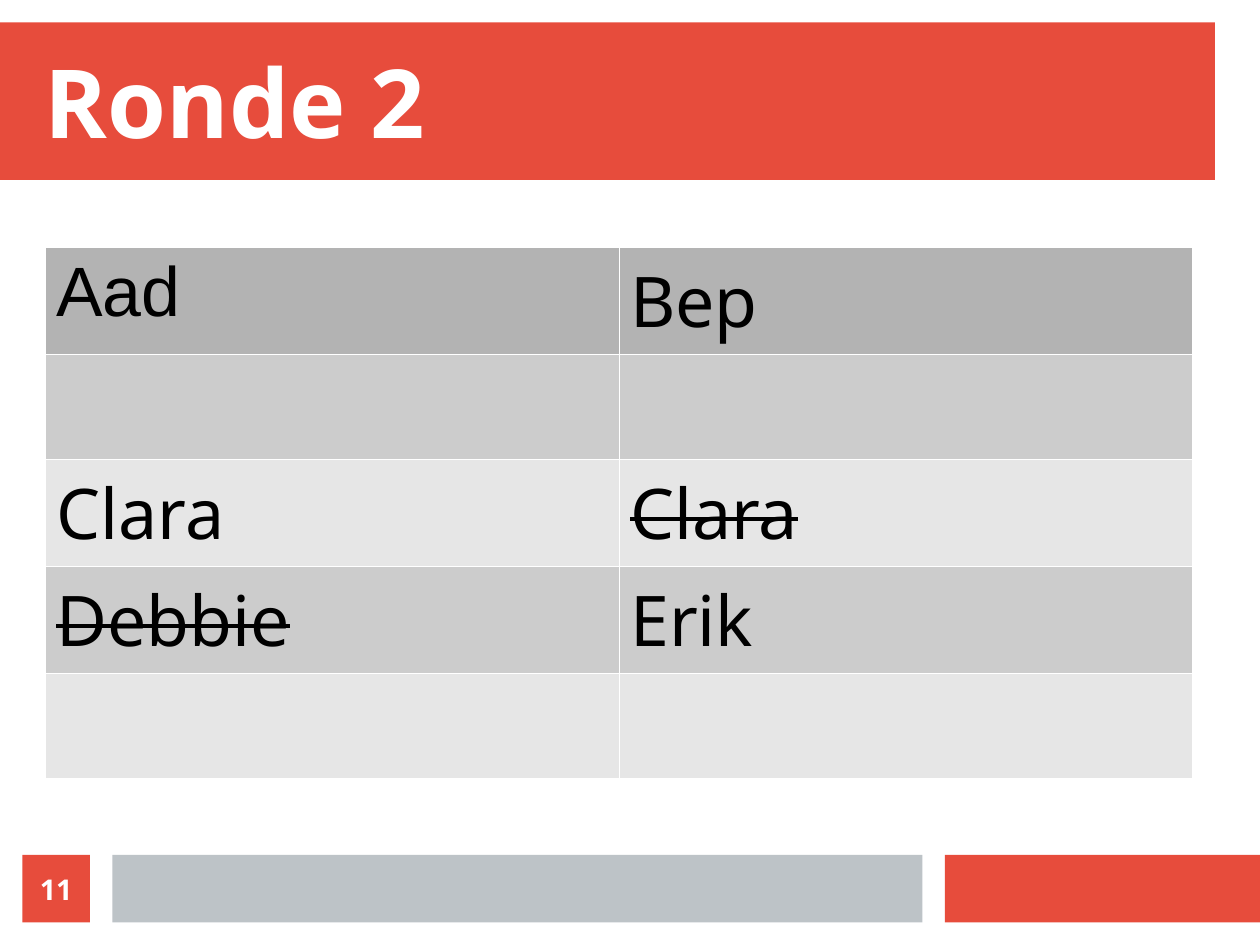
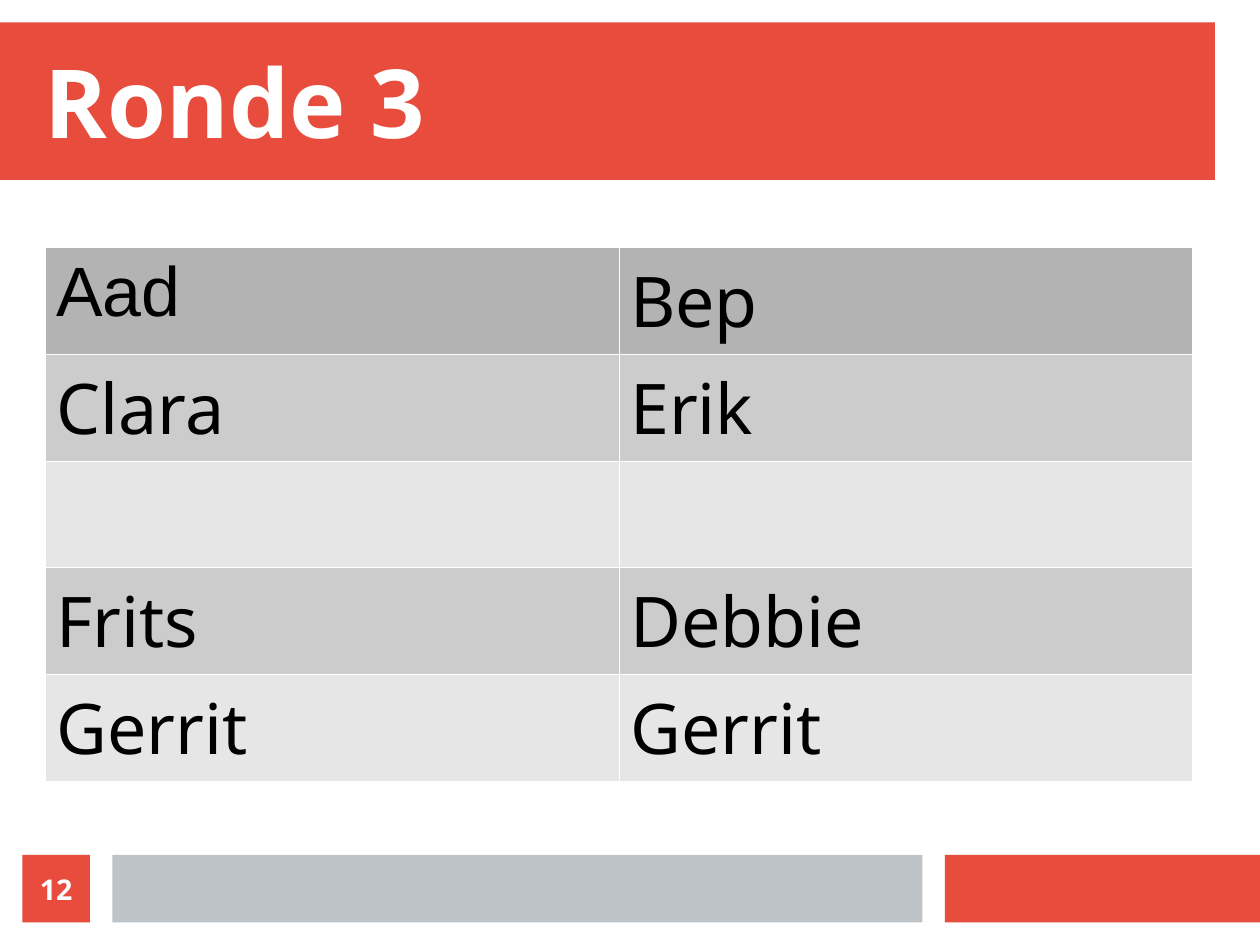
from dataclasses import dataclass

from lxml import etree
from pptx import Presentation
from pptx import util as u
from pptx.dml import color
from pptx.enum import shapes, text
from pptx.oxml import ns

COLORS = {"accent": "E74C3C", "footer": "BDC3C7", "paper": "FFFFFF", "ink": "000000",
          "header": "B3B3B3", "odd": "CCCCCC", "even": "E6E6E6"}
BODY_FONT = "Noto Sans"
UNIT = u.Cm(0.5)
COLUMNS, ROWS = 56, 42
BORDER_WIDTH = u.Pt(0.06)


@dataclass(frozen=True)
class Area:
    col: float
    row: float
    cols: float
    rows: float

    def box(self) -> tuple[int, ...]:
        return tuple(round(n * UNIT) for n in (self.col, self.row, self.cols, self.rows))


@dataclass(frozen=True)
class Band:
    area: Area
    fill: str


@dataclass(frozen=True)
class Name:
    label: str = ""
    font: str = BODY_FONT
    strike: bool = False


@dataclass(frozen=True)
class Round:
    title: str
    number: str
    row_height: float
    pairs: tuple[tuple[Name, Name], ...]


BANDS = (
    Band(Area(0, 1, 54, 7), "accent"),
    Band(Area(42, 38, 14, 3), "accent"),
    Band(Area(5, 38, 36, 3), "footer"),
)
NUMBER_BADGE = Band(Area(1, 38, 3, 3), "accent")
TITLE_AREA = Area(2, 2, 52, 5)
TABLE_COL, TABLE_ROW, TABLE_COLS = 2, 11, 51

EMPTY = (Name(), Name())
HEADINGS = (Name("Aad", font="Arial"), Name("Bep"))
ROUNDS = (
    Round("Ronde 2", "11", 4.67, (
        HEADINGS,
        EMPTY,
        (Name("Clara"), Name("Clara", strike=True)),
        (Name("Debbie", strike=True), Name("Erik")),
        EMPTY,
    )),
    Round("Ronde 3", "12", 4.72, (
        HEADINGS,
        (Name("Clara"), Name("Erik")),
        EMPTY,
        (Name("Frits"), Name("Debbie")),
        (Name("Gerrit"), Name("Gerrit")),
    )),
)


def rgb(key: str) -> color.RGBColor:
    return color.RGBColor.from_string(COLORS[key])


def write(frame, words: str, *, size: float, ink: str, font: str = BODY_FONT,
          bold: bool = False, strike: bool = False, align=text.PP_ALIGN.LEFT) -> None:
    paragraph = frame.paragraphs[0]
    paragraph.alignment = align
    run = paragraph.add_run()
    run.text = words
    run.font.name = font
    run.font.size = u.Pt(size)
    run.font.bold = bold
    run.font.color.rgb = rgb(ink)
    if strike:
        run._r.get_or_add_rPr().set("strike", "sngStrike")


def fit_frame(frame, anchor) -> None:
    frame.margin_left = frame.margin_right = frame.margin_top = frame.margin_bottom = 0
    frame.vertical_anchor = anchor
    frame.auto_size = text.MSO_AUTO_SIZE.NONE
    frame.word_wrap = True


def draw_band(slide, band: Band):
    bar = slide.shapes.add_shape(shapes.MSO_SHAPE.RECTANGLE, *band.area.box())
    bar.shadow.inherit = False
    bar.fill.solid()
    bar.fill.fore_color.rgb = rgb(band.fill)
    bar.line.fill.background()
    return bar


def set_up_layout(layout, slide) -> None:
    title = layout.placeholders[0]
    title.left, title.top, title.width, title.height = TITLE_AREA.box()
    fit_frame(title.text_frame, text.MSO_ANCHOR.BOTTOM)
    for index, band in enumerate(BANDS):
        bar = draw_band(slide, band).element
        bar.nvSpPr.cNvPr.set("id", str(100 + index))
        layout.shapes.element.insert(2 + index, bar)


def set_borders(cell) -> None:
    properties = cell._tc.get_or_add_tcPr()
    for index, side in enumerate(("a:lnL", "a:lnR", "a:lnT", "a:lnB")):
        line = etree.Element(ns.qn(side), w=str(int(BORDER_WIDTH)))
        fill = etree.SubElement(line, ns.qn("a:solidFill"))
        etree.SubElement(fill, ns.qn("a:srgbClr"), val=COLORS["paper"])
        properties.insert(index, line)


def row_fill(index: int) -> str:
    return "header" if index == 0 else "odd" if index % 2 else "even"


def draw_pairs(slide, game: Round) -> None:
    area = Area(TABLE_COL, TABLE_ROW, TABLE_COLS, game.row_height * len(game.pairs))
    grid = slide.shapes.add_table(len(game.pairs), 2, *area.box()).table
    grid.first_row = grid.horz_banding = False
    for r, pair in enumerate(game.pairs):
        for c, name in enumerate(pair):
            cell = grid.cell(r, c)
            cell.fill.solid()
            cell.fill.fore_color.rgb = rgb(row_fill(r))
            set_borders(cell)
            if name.label:
                write(cell.text_frame, name.label, size=44, ink="ink",
                      font=name.font, strike=name.strike)


def draw_round(slide, game: Round) -> None:
    write(slide.shapes.title.text_frame, game.title, size=60, ink="paper", bold=True)
    draw_pairs(slide, game)
    badge = draw_band(slide, NUMBER_BADGE)
    fit_frame(badge.text_frame, text.MSO_ANCHOR.MIDDLE)
    write(badge.text_frame, game.number, size=18, ink="paper", bold=True,
          align=text.PP_ALIGN.CENTER)


def main() -> None:
    deck = Presentation()
    deck.slide_width, deck.slide_height = COLUMNS * UNIT, ROWS * UNIT
    layout = deck.slide_layouts.get_by_name("Title Only")
    slides = [deck.slides.add_slide(layout) for _ in ROUNDS]
    set_up_layout(layout, slides[0])
    for slide, game in zip(slides, ROUNDS):
        draw_round(slide, game)
    deck.save("out.pptx")


if __name__ == "__main__":
    main()
